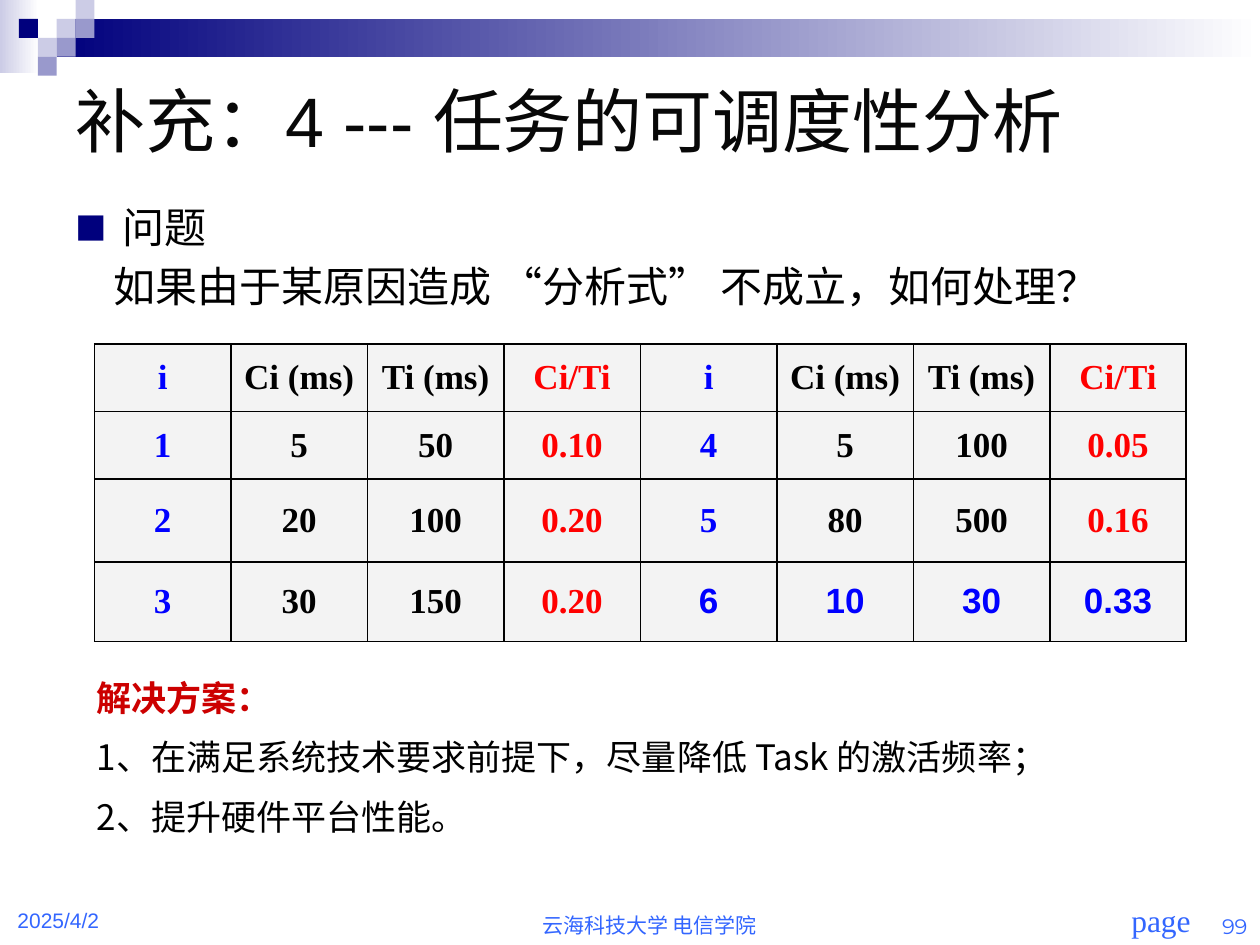
from dataclasses import dataclass

from lxml import etree
from pptx import Presentation
from pptx.dml.color import RGBColor
from pptx.enum import shapes, text
from pptx.oxml import ns
from pptx.util import Pt


@dataclass(frozen=True)
class Theme:
    navy: str = "00007D"
    lilac: str = "CCCCE6"
    violet: str = "9999CC"
    white: str = "FFFFFF"
    black: str = "000000"
    title_ink: str = "080808"
    footer_ink: str = "3366FF"
    blue: str = "0000FF"
    red: str = "FF0000"
    heading_red: str = "CC0000"
    cell: str = "F3F3F3"
    title_size: float = 40
    body_size: float = 24
    text_size: float = 20
    page_size: float = 18
    footer_size: float = 12
    sans: str = "Arial"
    serif: str = "Times New Roman"
    number: str = "Montserrat"
    cjk: str = "Noto Sans CJK SC"


T = Theme()
LEFT, CENTER, RIGHT = (text.PP_ALIGN.LEFT, text.PP_ALIGN.CENTER,
                       text.PP_ALIGN.RIGHT)
SQUARE = 10.8
SQUARES = [  # column, row, colour
    (3, 1, T.lilac), (4, 0, T.lilac), (4, 1, T.violet), (2, 2, T.lilac),
    (1, 1, T.navy), (3, 2, T.violet), (2, 3, T.violet),
]
TASKS = [
    ["i", "Ci (ms)", "Ti (ms)", "Ci/Ti"] * 2,
    ["1", "5", "50", "0.10", "4", "5", "100", "0.05"],
    ["2", "20", "100", "0.20", "5", "80", "500", "0.16"],
    ["3", "30", "150", "0.20", "6", "10", "30", "0.33"],
]
ROW_HEIGHTS = [38.6, 38.6, 47.4, 45.4]
COLUMN_INKS = [T.blue, T.black, T.black, T.red]


def add_xml(parent, tag, **attrs):
    return etree.SubElement(parent, ns.qn(tag), attrs)


def place(sp, left, top, width, height):
    box = dict(left=left, top=top, width=width, height=height)
    for name, value in box.items():
        setattr(sp, name, Pt(value))


def write(p, words, size, color, font=T.sans, bold=False, **layout):
    """Put one run in a paragraph; layout holds paragraph attributes."""
    for name, value in layout.items():
        setattr(p, name, value)
    r = p.add_run()
    r.text = words
    for name, value in dict(size=Pt(size), name=font, bold=bold).items():
        setattr(r.font, name, value)
    r.font.color.rgb = RGBColor.from_string(color)
    add_xml(r.font._element, "a:ea", typeface=T.cjk)


def set_frame(sp, anchor):
    tf = sp.text_frame
    frame = dict(word_wrap=True, vertical_anchor=anchor,
                 auto_size=text.MSO_AUTO_SIZE.NONE)
    for name, value in frame.items():
        setattr(tf, name, value)
    return tf


def add_box(s, box, anchor=text.MSO_ANCHOR.TOP):
    return set_frame(s.shapes.add_textbox(*map(Pt, box)), anchor)


def add_block(s, box, *colors):
    """Draw a plain rectangle, fading to the right if given two colours."""
    sp = s.shapes.add_shape(shapes.MSO_SHAPE.RECTANGLE, *map(Pt, box))
    sp.shadow.inherit = False
    sp.line.fill.background()
    if len(colors) == 1:
        sp.fill.solid()
        sp.fill.fore_color.rgb = RGBColor.from_string(colors[0])
        return
    sp.fill.gradient()
    sp.fill.gradient_angle = 0
    for stop, color in zip(sp.fill.gradient_stops, colors):
        stop.color.rgb = RGBColor.from_string(color)


def add_banner(s):
    add_block(s, (0, 0, 22.3, 41.8), T.lilac, T.white)
    add_block(s, (32.4, SQUARE, 687.6, 21.6), T.navy, T.white)
    for col, row, color in SQUARES:
        add_block(s, (col * SQUARE, row * SQUARE, SQUARE, SQUARE), color)


def set_indent(p, margin, first):
    pPr = p._p.get_or_add_pPr()
    pPr.set("marL", str(Pt(margin)))
    pPr.set("indent", str(Pt(first)))
    return pPr


def add_square_bullet(pPr):
    add_xml(add_xml(pPr, "a:buClr"), "a:srgbClr", val=T.navy)
    add_xml(pPr, "a:buSzPct", val="75000")
    add_xml(pPr, "a:buFont", typeface=T.cjk)
    add_xml(pPr, "a:buChar", char="■")


def fill_title(sp):
    place(sp, 36, 41.8, 648, 52.6)
    tf = set_frame(sp, text.MSO_ANCHOR.MIDDLE)
    write(tf.paragraphs[0], "补充：4 --- 任务的可调度性分析", T.title_size,
          T.title_ink, alignment=LEFT)


def fill_question(sp):
    place(sp, 36, 111.6, 653, 73.4)
    tf = set_frame(sp, text.MSO_ANCHOR.TOP)
    topic, question = tf.paragraphs[0], tf.add_paragraph()
    write(topic, "问题", T.body_size, T.black, space_before=Pt(4.8))
    write(question, "如果由于某原因造成 “分析式” 不成立，如何处理？",
          T.body_size, T.black, space_before=Pt(4.8))
    add_square_bullet(set_indent(topic, 27, -27))
    add_xml(set_indent(question, 21.6, 0), "a:buNone")


def format_cell(cell):
    tcPr = cell._tc.get_or_add_tcPr()
    for side in ("a:lnL", "a:lnR", "a:lnT", "a:lnB"):
        ln = add_xml(tcPr, side, w=str(Pt(1)))
        add_xml(add_xml(ln, "a:solidFill"), "a:srgbClr", val=T.black)
    cell.fill.solid()
    cell.fill.fore_color.rgb = RGBColor.from_string(T.cell)
    look = dict(vertical_anchor=text.MSO_ANCHOR.MIDDLE,
                margin_left=Pt(3.6), margin_right=Pt(3.6))
    for name, value in look.items():
        setattr(cell, name, value)


def add_task_table(s):
    table = s.shapes.add_table(len(TASKS), len(TASKS[0]), Pt(54), Pt(196.6),
                               Pt(624), Pt(sum(ROW_HEIGHTS))).table
    for row, height, values in zip(table.rows, ROW_HEIGHTS, TASKS):
        row.height = Pt(height)
        for col, (cell, value) in enumerate(zip(row.cells, values)):
            format_cell(cell)
            added_task = values is TASKS[-1] and col >= 4
            ink = T.blue if added_task else COLUMN_INKS[col % 4]
            font = T.sans if added_task else T.serif
            write(cell.text_frame.paragraphs[0], value, T.text_size, ink,
                  font, bold=True, alignment=CENTER)


def add_solution(s):
    tf = add_box(s, (48.2, 383, 629.3, 103))
    gap = dict(space_before=Pt(10))
    write(tf.paragraphs[0], "解决方案：", T.text_size, T.heading_red, T.cjk,
          bold=True, **gap)
    for step in ("1、在满足系统技术要求前提下，尽量降低 Task 的激活频率；",
                 "2、提升硬件平台性能。"):
        write(tf.add_paragraph(), step, T.text_size, T.black, T.cjk, **gap)


def add_footer(s):
    bottom = text.MSO_ANCHOR.BOTTOM
    items = [
        ("page", (637.9, 511.2, 51.1, 28.8), text.MSO_ANCHOR.TOP,
         T.page_size, T.serif, CENTER),
        ("云海科技大学 电信学院", (252, 514.1, 238.3, 25.2), bottom,
         T.footer_size, T.sans, CENTER),
        ("99", (677.5, 514.8, 42.5, 25.2), bottom,
         T.footer_size, T.number, RIGHT),
        ("2025/4/2", (2.9, 509.8, 142.6, 26.6), bottom,
         T.footer_size, T.sans, LEFT),
    ]
    for words, box, anchor, size, font, align in items:
        write(add_box(s, box, anchor).paragraphs[0], words, size,
              T.footer_ink, font, alignment=align)


def main():
    prs = Presentation()
    prs.slide_width, prs.slide_height = Pt(720), Pt(540)
    s = prs.slides.add_slide(prs.slide_layouts[1])
    add_banner(s)
    add_footer(s)
    fill_title(s.shapes.title)
    fill_question(s.placeholders[1])
    add_task_table(s)
    add_solution(s)
    prs.save("out.pptx")


if __name__ == "__main__":
    main()
